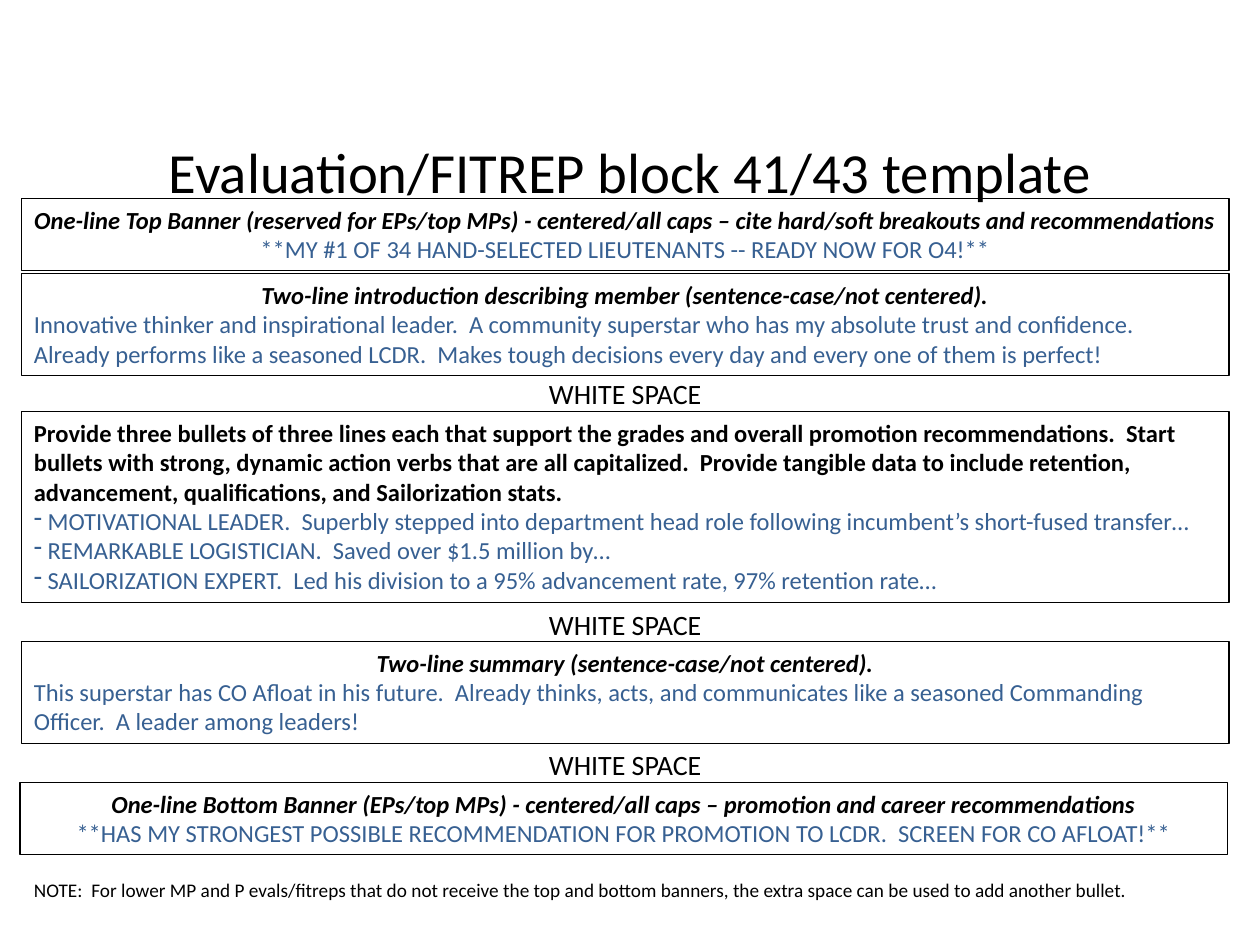
from lxml import etree
from pptx import Presentation
from pptx.dml.color import RGBColor
from pptx.enum.shapes import MSO_SHAPE
from pptx.enum.text import MSO_ANCHOR, MSO_AUTO_SIZE, PP_ALIGN
from pptx.oxml.ns import qn
from pptx.util import Pt

BLACK = RGBColor(0x00, 0x00, 0x00)
BLUE = RGBColor(0x37, 0x60, 0x92)
LEFT, CENTER = PP_ALIGN.LEFT, PP_ALIGN.CENTER
TOP, MIDDLE = MSO_ANCHOR.TOP, MSO_ANCHOR.MIDDLE
GROW = MSO_AUTO_SIZE.SHAPE_TO_FIT_TEXT
RECT = MSO_SHAPE.RECTANGLE
FONT = "Calibri"
EDGE, WIDTH = 12.3, 690


def write(para, text, size=14, color=BLACK, bold=False, italic=False,
          align=LEFT, bullet=None):
    """Put formatted text in a paragraph."""
    para.alignment = align
    if bullet:
        props = para._p.get_or_add_pPr()
        etree.SubElement(props, qn("a:buChar")).set("char", bullet)
    run = para.add_run()
    run.text = text
    font = run.font
    font.name, font.size = FONT, Pt(size)
    font.bold, font.italic = bold, italic
    font.color.rgb = color


def label(slide, text, top, height, left=EDGE, width=WIDTH, anchor=TOP, **form):
    """Add a text box with one paragraph."""
    box = slide.shapes.add_textbox(Pt(left), Pt(top), Pt(width), Pt(height))
    frame = box.text_frame
    frame.word_wrap = True
    frame.vertical_anchor = anchor
    write(frame.paragraphs[0], text, **form)


def panel(slide, top, height, head, lines, left=EDGE, slant=True,
          mid=CENTER, **form):
    """Add an outlined box with a bold heading over blue sample lines."""
    box = slide.shapes.add_shape(RECT, Pt(left), Pt(top), Pt(WIDTH), Pt(height))
    box.shadow.inherit = False
    box.fill.background()
    box.line.color.rgb = BLACK
    box.line.width = Pt(0.75)
    frame = box.text_frame
    frame.word_wrap = True
    frame.auto_size = GROW
    frame.vertical_anchor = TOP
    write(frame.paragraphs[0], head, bold=True, italic=slant, align=mid)
    for line in lines:
        write(frame.add_paragraph(), line, color=BLUE, **form)


def main():
    """Build the template slide."""
    deck = Presentation()
    deck.slide_width, deck.slide_height = Pt(720), Pt(540)
    slide = deck.slides.add_slide(deck.slide_layouts[6])

    label(slide, "Evaluation/FITREP block 41/43 template", 77.8, 39.6,
          left=36, width=648, anchor=MIDDLE, size=32.4, align=CENTER)
    panel(slide, 113.5, 41.2,
          "One-line Top Banner (reserved for EPs/top MPs) - centered/all caps"
          " – cite hard/soft breakouts and recommendations",
          ["**MY #1 OF 34 HAND-SELECTED LIEUTENANTS -- READY NOW FOR O4!**"],
          align=CENTER)
    panel(slide, 156.3, 58.2,
          "Two-line introduction describing member (sentence-case/not centered).",
          ["Innovative thinker and inspirational leader.  A community superstar"
           " who has my absolute trust and confidence.  Already performs like a"
           " seasoned LCDR.  Makes tough decisions every day and every one of"
           " them is perfect!"])
    panel(slide, 235.2, 109,
          "Provide three bullets of three lines each that support the grades"
          " and overall promotion recommendations.  Start bullets with strong,"
          " dynamic action verbs that are all capitalized.  Provide tangible"
          " data to include retention, advancement, qualifications, and"
          " Sailorization stats.",
          [" MOTIVATIONAL LEADER.  Superbly stepped into department head role"
           " following incumbent’s short-fused transfer…",
           " REMARKABLE LOGISTICIAN.  Saved over $1.5 million by…",
           " SAILORIZATION EXPERT.  Led his division to a 95% advancement rate,"
           " 97% retention rate…"],
          slant=False, mid=LEFT, bullet="-")
    panel(slide, 366.5, 58.2,
          "Two-line summary (sentence-case/not centered).",
          ["This superstar has CO Afloat in his future.  Already thinks, acts,"
           " and communicates like a seasoned Commanding Officer.  A leader"
           " among leaders!"])
    panel(slide, 447.1, 41.2,
          "One-line Bottom Banner (EPs/top MPs) - centered/all caps"
          " – promotion and career recommendations",
          ["**HAS MY STRONGEST POSSIBLE RECOMMENDATION FOR PROMOTION TO LCDR."
           "  SCREEN FOR CO AFLOAT!**"],
          left=11.5, align=CENTER)
    for top in (211.7, 343.4, 423.4):
        label(slide, "WHITE SPACE", top, 26.6, size=16, align=CENTER)
    label(slide, "NOTE:  For lower MP and P evals/fitreps that do not receive"
          " the top and bottom banners, the extra space can be used to add"
          " another bullet.", 498.2, 20.6, size=11)

    deck.save("out.pptx")


if __name__ == "__main__":
    main()
